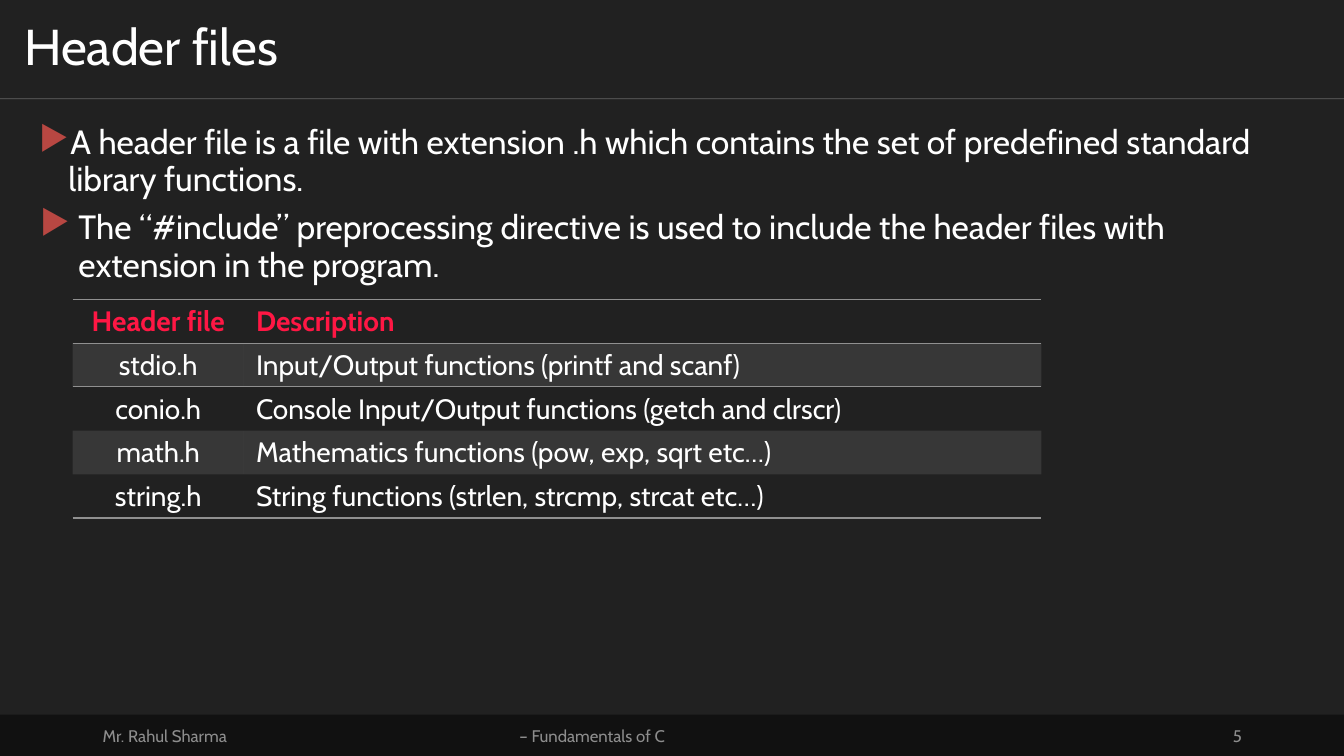
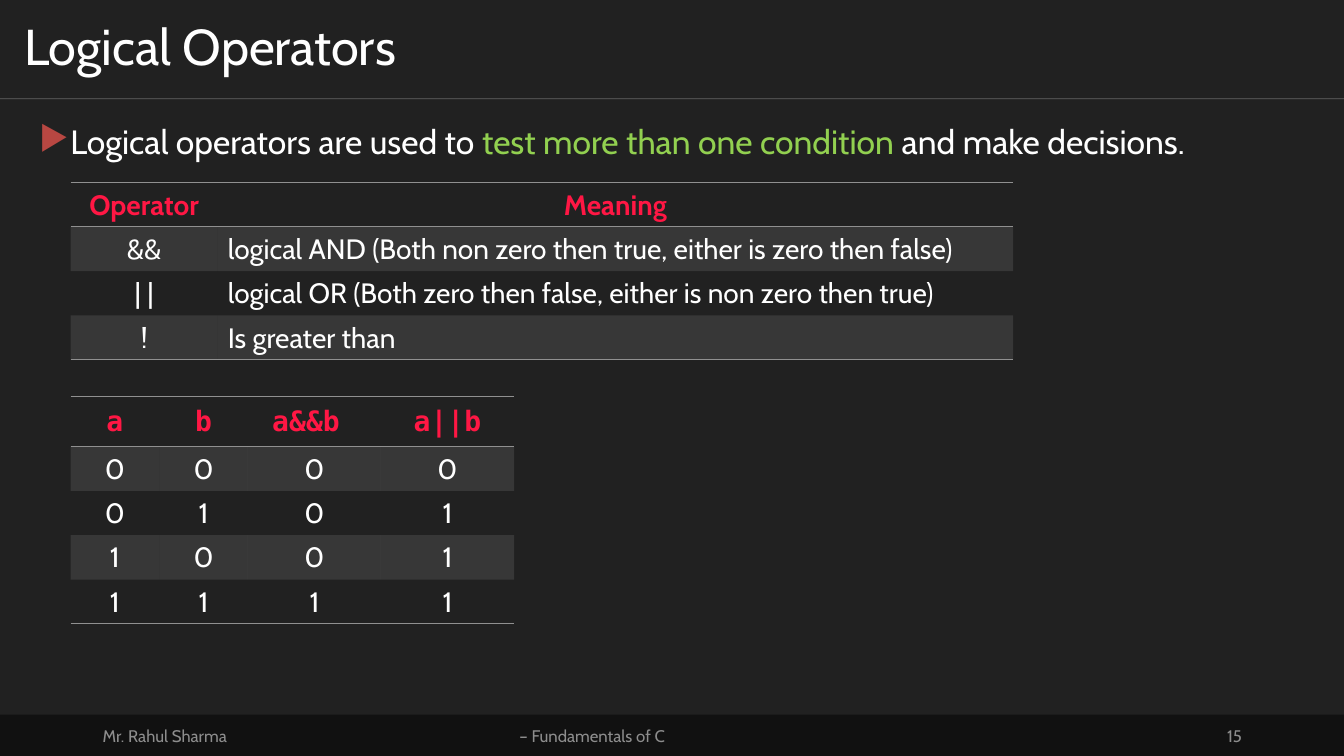
from dataclasses import dataclass
from typing import NamedTuple

from lxml import etree
from pptx import Presentation
from pptx import util as u
from pptx.dml.color import RGBColor
from pptx.enum import shapes, text
from pptx.oxml import ns

# Palette and fonts
DARK = RGBColor(0x21, 0x21, 0x21)
BAND = RGBColor(0x11, 0x11, 0x11)
WHITE = RGBColor(0xFF, 0xFF, 0xFF)
GREY = RGBColor(0x90, 0x90, 0x90)
DIM = RGBColor(0x8D, 0x8D, 0x8D)
RED = RGBColor(0xFF, 0x17, 0x44)
BRICK = RGBColor(0xB8, 0x47, 0x42)
GREEN = RGBColor(0x92, 0xD0, 0x50)
SANS, MONO = "Cabin", "DejaVu Sans Mono"
PLAIN = "{2D5ABB26-0587-4C30-8999-92F81FD0307C}"  # table style without a grid

# The slide is a grid of square units, ten to the inch
COLS, ROWS = 133.33, 75
HEAD = 9.8
ALIGN = {
    "l": text.PP_ALIGN.LEFT,
    "c": text.PP_ALIGN.CENTER,
    "r": text.PP_ALIGN.RIGHT,
}


class Box(NamedTuple):
    left: float
    top: float
    wide: float
    high: float


class Span(NamedTuple):
    text: str
    color: RGBColor = WHITE


@dataclass
class Point:
    spans: list[Span]
    left: float = 2.9
    hang: float = 2.9
    lead: float | u.Length = 0.9
    before: float = 0


@dataclass
class Grid:
    left: float
    top: float
    cols: list[float]
    rows: list[float]
    cells: list[list[str]]
    head: str  # alignment of the header, one letter a column
    body: str
    rules: tuple[int, ...]  # rows with a line below
    pad: float = 1
    font: str = SANS  # of the header


def size(units: float) -> u.Length:
    return u.Inches(units / 10)


def place(box: Box) -> list[u.Length]:
    return [size(n) for n in box]


def style(item, points: float, color: RGBColor, name: str = SANS, bold: bool = False) -> None:
    font = item.font
    font.size, font.name, font.bold = u.Pt(points), name, bold
    font.color.rgb = color


def fade(node, share: int) -> None:
    """Make the first colour in node partly transparent."""
    color = node.find(".//" + ns.qn("a:srgbClr"))
    etree.SubElement(color, ns.qn("a:alpha"), val=str(share * 1000))


def frame(slide, box: Box, middle: bool = True):
    area = slide.shapes.add_textbox(*place(box)).text_frame
    area.word_wrap = True
    if middle:
        area.vertical_anchor = text.MSO_ANCHOR.MIDDLE
    return area


def label(slide, box: Box, words: str, points: float, color: RGBColor, side: str = "l"):
    area = frame(slide, box)
    area.text = words
    para = area.paragraphs[0]
    para.alignment = ALIGN[side]
    style(para.runs[0], points, color)
    return area


# Title, rule and footer of every slide
def base(deck, title: str, page: int):
    slide = deck.slides.add_slide(deck.slide_layouts[6])
    slide.background.fill.solid()
    slide.background.fill.fore_color.rgb = DARK

    rule = slide.shapes.add_connector(
        shapes.MSO_CONNECTOR.STRAIGHT, *place(Box(0, HEAD, COLS, HEAD)))
    rule.line.color.rgb = WHITE
    rule.line.width = u.Pt(0.5)
    props = rule._element.spPr
    fade(props, 30)
    etree.SubElement(props, ns.qn("a:effectLst"))

    band = slide.shapes.add_shape(
        shapes.MSO_SHAPE.RECTANGLE, *place(Box(0, 70.9, COLS, 4.1)))
    band.shadow.inherit = False
    band.fill.solid()
    band.fill.fore_color.rgb = BAND
    band.line.fill.background()

    for left, wide, words, side in (
        (9.2, 30, "Mr. Rahul Sharma", "l"),
        (44.2, 29.1, "– Fundamentals of C", "c"),
        (94.2, 30, str(page), "r"),
    ):
        label(slide, Box(left, 71, wide, 4), words, 12, DIM, side)

    area = label(slide, Box(0, 0, COLS, HEAD), title, 36, WHITE)
    area.margin_left = area.margin_right = size(2.4)
    area.margin_top = area.margin_bottom = size(1.2)
    area.paragraphs[0].line_spacing = 0.9
    return slide


# Bulleted text
def bullets(slide, points: list[Point]) -> None:
    area = frame(slide, Box(2.9, 12, 127.6, 57.1), middle=False)
    for i, point in enumerate(points):
        para = area.add_paragraph() if i else area.paragraphs[0]
        props = para._p.get_or_add_pPr()
        props.set("marL", str(size(point.left)))
        props.set("indent", str(-size(point.hang)))
        tint = etree.SubElement(props, ns.qn("a:buClr"))
        etree.SubElement(tint, ns.qn("a:srgbClr"), val=str(BRICK))
        etree.SubElement(props, ns.qn("a:buChar"), char="▶")
        para.line_spacing = point.lead
        if point.before:
            para.space_before = u.Pt(point.before)
        for span in point.spans:
            run = para.add_run()
            run.text = span.text
            style(run, 24, span.color)


# Tables
def edge(cell, side: str) -> None:
    line = etree.Element(ns.qn("a:" + side), w=str(u.Pt(1)))
    fill = etree.SubElement(line, ns.qn("a:solidFill"))
    etree.SubElement(fill, ns.qn("a:srgbClr"), val=str(GREY))
    cell._tc.get_or_add_tcPr().insert(0, line)


def fill_cell(cell, grid: Grid, r: int, c: int) -> None:
    cell.text = grid.cells[r][c]
    cell.vertical_anchor = text.MSO_ANCHOR.MIDDLE
    cell.margin_left = cell.margin_right = size(grid.pad)
    cell.margin_top, cell.margin_bottom = size(0.5), size(0.4)
    para = cell.text_frame.paragraphs[0]
    para.alignment = ALIGN[(grid.body if r else grid.head)[c]]
    if r:
        style(para.runs[0], 20, WHITE)
    else:
        style(para.runs[0], 20, RED, grid.font, True)
    if r % 2:
        cell.fill.solid()
        cell.fill.fore_color.rgb = GREY
        fade(cell._tc.get_or_add_tcPr(), 20)
    else:
        cell.fill.background()
    if r in grid.rules:
        edge(cell, "lnB")
    if r == 0:
        edge(cell, "lnT")


def draw(slide, grid: Grid) -> None:
    box = Box(grid.left, grid.top, sum(grid.cols), sum(grid.rows))
    table = slide.shapes.add_table(
        len(grid.rows), len(grid.cols), *place(box)).table
    table.first_row = table.horz_banding = False
    table._tbl.tblPr.find(ns.qn("a:tableStyleId")).text = PLAIN
    for col, wide in zip(table.columns, grid.cols):
        col.width = size(wide)
    for r, high in enumerate(grid.rows):
        table.rows[r].height = size(high)
        for c in range(len(grid.cols)):
            fill_cell(table.cell(r, c), grid, r, c)


def main() -> None:
    deck = Presentation()
    deck.slide_width, deck.slide_height = size(COLS), size(ROWS)

    # Header files
    slide = base(deck, "Header files", 5)
    bullets(slide, [
        Point([Span("A header file is a file with extension .h which contains "
                    "the set of predefined standard library functions.")]),
        Point([Span("The “#include” preprocessing directive is used to include "
                    "the header files with extension in the program.")],
              left=3.9, hang=3.8, lead=u.Pt(27.1), before=7.2),
    ])
    draw(slide, Grid(7.2, 29.7, [17, 79.1], [4.34] * 5, [
        ["Header file", "Description"],
        ["stdio.h", "Input/Output functions (printf and scanf)"],
        ["conio.h", "Console Input/Output functions (getch and clrscr)"],
        ["math.h", "Mathematics functions (pow, exp, sqrt etc…)"],
        ["string.h", "String functions (strlen, strcmp, strcat etc…)"],
    ], "cl", "cl", (0, 1, 4), pad=1.2))

    # Logical operators
    slide = base(deck, "Logical Operators", 15)
    bullets(slide, [Point([
        Span("Logical operators are used to "),
        Span("test more than one condition ", GREEN),
        Span("and make decisions."),
    ])])
    draw(slide, Grid(7, 18.1, [14.6, 78.9], [4.4] * 4, [
        ["Operator", "Meaning"],
        ["&&", "logical AND (Both non zero then true, either is zero then false)"],
        ["| |", "logical OR (Both zero then false, either is non zero then true)"],
        ["!", "Is greater than"],
    ], "cc", "cl", (0, 3)))
    truth = [[str(n) for n in (a, b, a & b, a | b)] for a in (0, 1) for b in (0, 1)]
    draw(slide, Grid(7, 39.3, [8.8, 8.8, 13.2, 13.2], [5] + [4.4] * 4,
                     [["a", "b", "a&&b ", "a||b"]] + truth,
                     "cccc", "cccc", (0, 4), font=MONO))

    deck.save("out.pptx")


if __name__ == "__main__":
    main()
